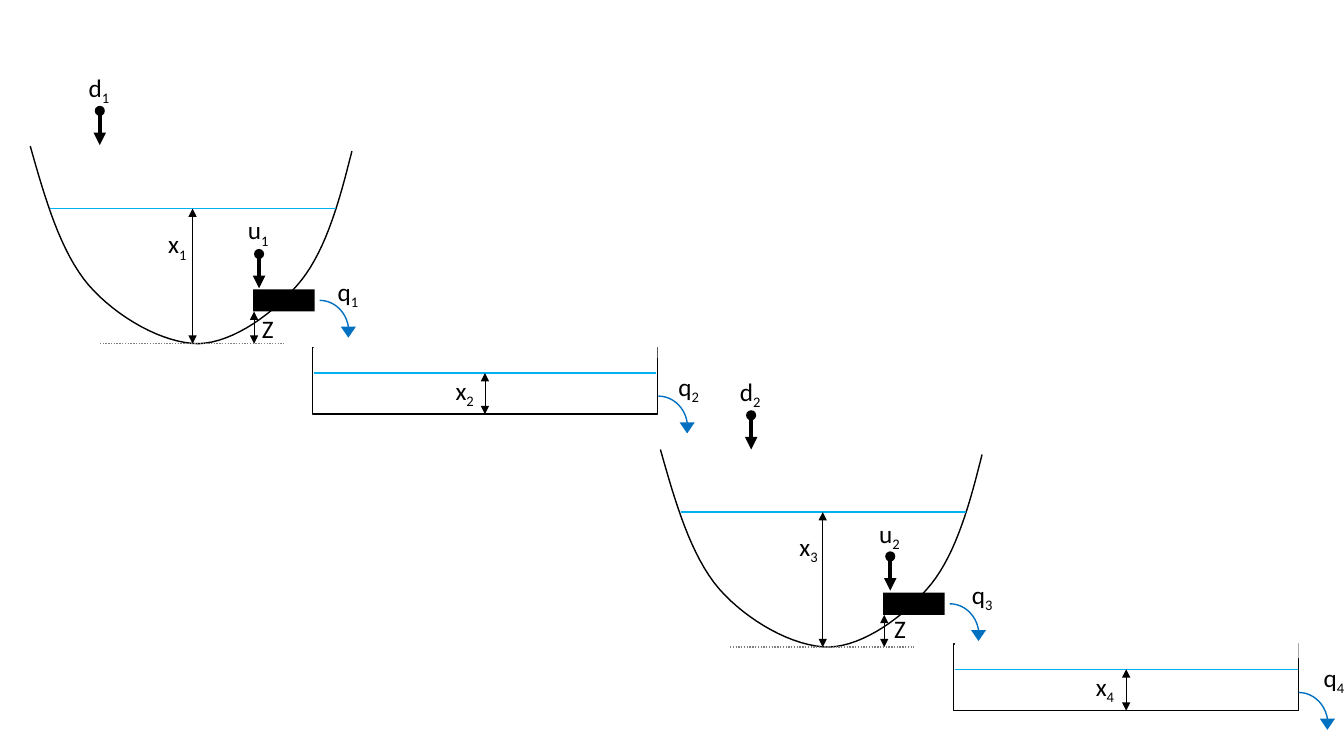
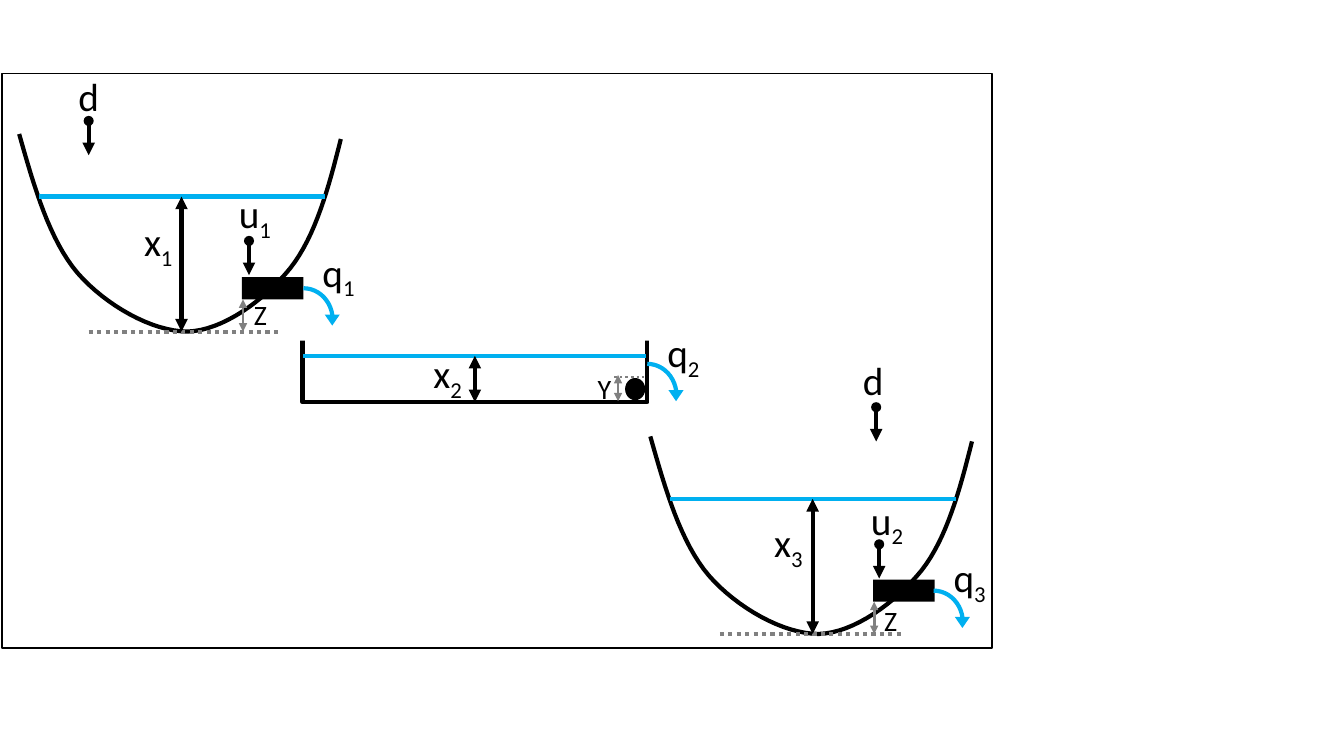
from pptx import Presentation
from pptx.dml.color import RGBColor
from pptx.enum.dml import MSO_LINE
from pptx.enum.shapes import MSO_CONNECTOR, MSO_SHAPE
from pptx.enum.text import MSO_AUTO_SIZE
from pptx.oxml.ns import qn
from pptx.util import Emu, Pt
from lxml.etree import SubElement

PX = 9144  # 100 px to the inch
WIDE, HIGH = 1333, 750
FONT = "Calibri"
BLACK, WHITE, GREY = "000000", "FFFFFF", "808080"
WATER, FLOW = "00B0F0", "0070C0"

# Bowl outline: start, then three points for each curve
START = (0, 0)
CURVES = [
    [(15, 53), (30, 105), (58, 138)],
    [(86, 170), (132, 196), (167, 196)],
    [(202, 195), (243, 165), (269, 133)],
    [(294, 101), (307, 53), (319, 5)],
]
STEPS = 16

# Labels: letter, subscript, left, top
SLIDES = [
    {
        "line": 1, "depth": 0.5, "gap": (BLACK, 0.5), "flow": FLOW,
        "size": 18, "small": 18, "tall": 40,
        "wide": {"x": 40, "d": 42, "u": 42, "q": 42, "Z": 32},
        "bowls": [(30, 145, 252), (655, 446, 252)],
        "tanks": [(310, 345, 66, 25), (946, 639, 66, 25)],
        "covers": [(311, 340, 341, 15), (947, 638, 341, 15)],
        "flows": [(288, 298), (913, 599), (624, 393), (1259, 687)],
        "drops": [(99, 105), (257, 247), (745, 407), (883, 547)],
        "labels": [
            ("d", "1", 78, 67), ("x", "1", 157, 222), ("u", "1", 236, 208),
            ("Z", "", 250, 306), ("q", "1", 325, 269), ("x", "2", 442, 367),
            ("q", "2", 663, 363), ("d", "2", 724, 368), ("x", "3", 783, 522),
            ("u", "2", 862, 509), ("Z", "", 877, 604), ("q", "3", 954, 570),
            ("x", "4", 1077, 661), ("q", "4", 1303, 652),
        ],
    },
    {
        "line": 3, "depth": 3, "gap": (GREY, 2), "flow": WATER,
        "size": 28, "small": 20, "tall": 57,
        "wide": {"x": 51, "d": 41, "u": 54, "q": 54, "Z": 33, "Y": 34},
        "bowls": [(19, 133, 259), (645, 433, 251)],
        "tanks": [(300, 334, 65, 19)],
        "covers": [(289, 328, 355, 10)],
        "flows": [(272, 286), (897, 586), (613, 361)],
        "drops": [(88, 115), (247, 234), (869, 399), (872, 535)],
        "labels": [
            ("d", "", 68, 67), ("x", "1", 133, 211), ("u", "1", 227, 183),
            ("Z", "", 242, 290), ("q", "1", 310, 241), ("x", "2", 420, 342),
            ("q", "2", 652, 321), ("d", "", 846, 349), ("x", "3", 758, 509),
            ("u", "2", 854, 487), ("Z", "", 867, 594), ("q", "3", 936, 544),
            ("Y", "", 583, 364),
        ],
    },
]
BALL = (620, 375, 20, 22)
BALL_GAP = (613, 372, 613, 398)
BALL_TOP = (609, 374, 639, 374)
FRAME = (2, 73, 982, 570)


def color(text):
    return RGBColor.from_string(text)


def paint(item, fill=None, line=None, width=1):
    item.shadow.inherit = False
    if fill:
        item.fill.solid()
        item.fill.fore_color.rgb = color(fill)
    else:
        item.fill.background()
    if line:
        item.line.color.rgb = color(line)
        item.line.width = Pt(width)
    else:
        item.line.fill.background()
    return item


def shape(slide, kind, box, **look):
    item = slide.shapes.add_shape(kind, *(Emu(v * PX) for v in box))
    return paint(item, **look)


def rule(slide, ends, tint, width, heads=(), dots=False):
    """Draw a straight line; heads names the ends that carry an arrowhead."""
    item = slide.shapes.add_connector(
        MSO_CONNECTOR.STRAIGHT, *(Emu(v * PX) for v in ends))
    item.line.color.rgb = color(tint)
    item.line.width = Pt(width)
    if dots:
        item.line.dash_style = MSO_LINE.ROUND_DOT
    props = item.element.spPr
    for head in heads:
        SubElement(props.find(qn("a:ln")), qn("a:" + head), type="triangle")
    SubElement(props, qn("a:effectLst"))
    return item


BOTH = ("headEnd", "tailEnd")


def outline():
    """Return points along the bowl's Bézier curves."""
    points, a = [], START
    for b, c, d in CURVES:
        for step in range(1, STEPS + 1):
            t = step / STEPS
            s = 1 - t
            points.append(tuple(
                s**3 * a[i] + 3 * s * s * t * b[i]
                + 3 * s * t * t * c[i] + t**3 * d[i] for i in (0, 1)))
        a = d
    return points


def bowl(slide, look, x, y, end):
    pen = slide.shapes.build_freeform(x * PX, y * PX)
    pen.add_line_segments(
        [(round((x + u) * PX), round((y + v) * PX)) for u, v in outline()],
        close=False)
    paint(pen.convert_to_shape(), WHITE, BLACK, look["line"])
    top, base = y + 62, y + 196
    rule(slide, (x + 20, top, x + 303, top), WATER, look["line"])
    shape(slide, MSO_SHAPE.RECTANGLE, (x + 221, y + 142, 61, 22), fill=BLACK)
    rule(slide, (x + 69, base, x + end, base), GREY, look["line"], dots=True)
    rule(slide, (x + 222, y + 164, x + 222, base), *look["gap"], heads=BOTH)
    rule(slide, (x + 161, top, x + 161, base), BLACK, look["depth"], heads=BOTH)


def tank(slide, look, x, y, tall, level):
    box = shape(slide, MSO_SHAPE.RECTANGLE, (x, y, 342, tall),
                line=BLACK, width=look["line"])
    top, mid = y + level, x + 171
    rule(slide, (x + 1, top, x + 341, top), WATER, look["line"])
    depth = rule(slide, (mid, top, mid, y + tall), BLACK, look["depth"], heads=BOTH)
    depth.end_connect(box, 2)


def flow(slide, look, x, y):
    """Draw a curved outflow arrow."""
    shape(slide, MSO_SHAPE.ARC, (x, y, 58, 63),
          line=look["flow"], width=look["line"])
    tip = shape(slide, MSO_SHAPE.ISOSCELES_TRIANGLE, (x + 50, y + 26, 15, 11),
                fill=look["flow"])
    tip.rotation = 180


def drop(slide, x, y):
    """Draw an input arrow that starts at a dot."""
    rule(slide, (x, y + 5, x, y + 39), BLACK, 3, heads=("tailEnd",))
    shape(slide, MSO_SHAPE.OVAL, (x - 5, y, 10, 10), fill=BLACK)


def label(slide, look, letter, sub, x, y):
    small = letter in "YZ"
    size = look["small"] if small else look["size"]
    tall = size * 2 + 4 if small else look["tall"]
    box = slide.shapes.add_textbox(
        *(Emu(v * PX) for v in (x, y, look["wide"][letter], tall)))
    frame = box.text_frame
    frame.word_wrap = False
    frame.auto_size = MSO_AUTO_SIZE.SHAPE_TO_FIT_TEXT
    for text, shift in ((letter, None), (sub, "-25000")):
        if not text:
            continue
        run = frame.paragraphs[0].add_run()
        run.text = text
        run.font.name = FONT
        run.font.size = Pt(size)
        run.font.color.rgb = color(BLACK)
        if shift:
            run._r.get_or_add_rPr().set("baseline", shift)


def ball(slide):
    """Draw the ball in the tank with its height mark, and the frame."""
    shape(slide, MSO_SHAPE.OVAL, BALL, fill=BLACK)
    rule(slide, BALL_GAP, GREY, 1, heads=BOTH)
    rule(slide, BALL_TOP, GREY, 2, dots=True)
    shape(slide, MSO_SHAPE.RECTANGLE, FRAME, line=BLACK)


def main():
    deck = Presentation()
    deck.slide_width, deck.slide_height = Emu(WIDE * PX), Emu(HIGH * PX)
    for look in SLIDES:
        slide = deck.slides.add_slide(deck.slide_layouts[6])
        for spot in look["bowls"]:
            bowl(slide, look, *spot)
        for spot in look["tanks"]:
            tank(slide, look, *spot)
        for box in look["covers"]:
            shape(slide, MSO_SHAPE.RECTANGLE, box, fill=WHITE)
        for spot in look["flows"]:
            flow(slide, look, *spot)
        for spot in look["drops"]:
            drop(slide, *spot)
        for item in look["labels"]:
            label(slide, look, *item)
    ball(slide)
    deck.save("out.pptx")


if __name__ == "__main__":
    main()
